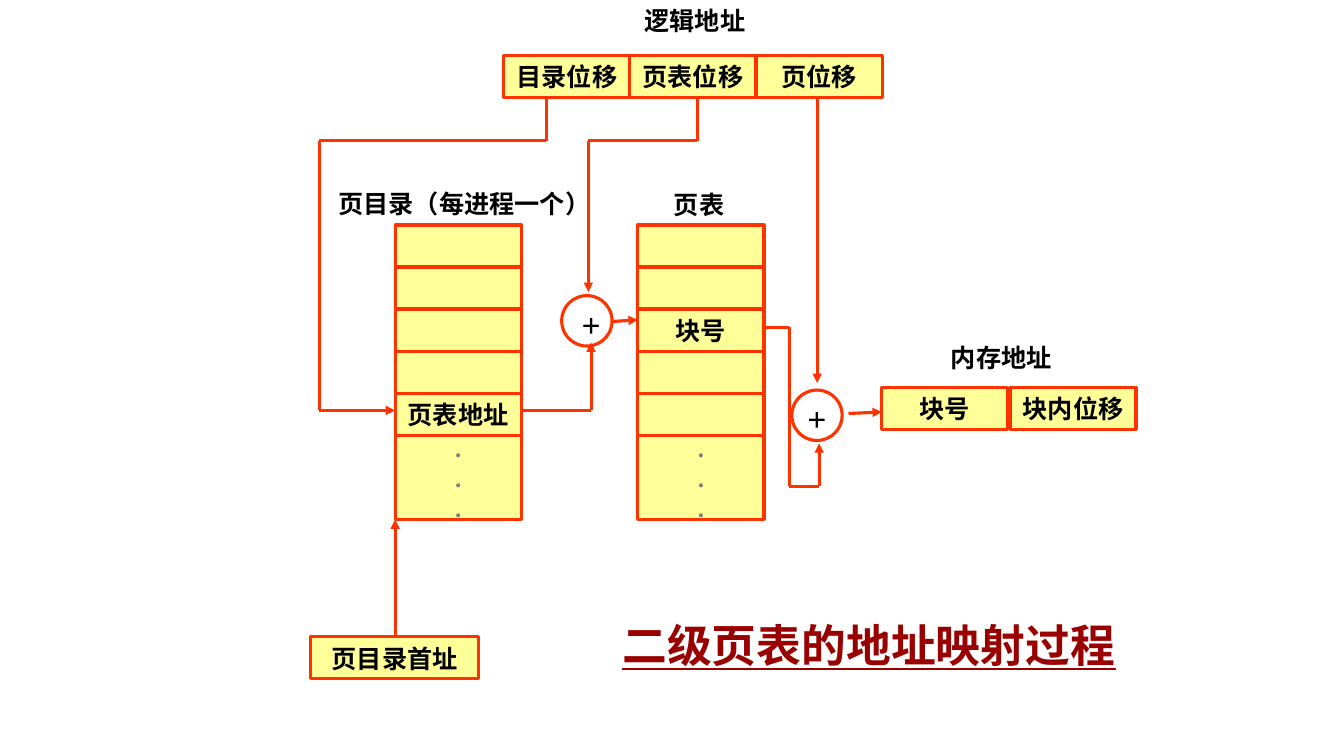
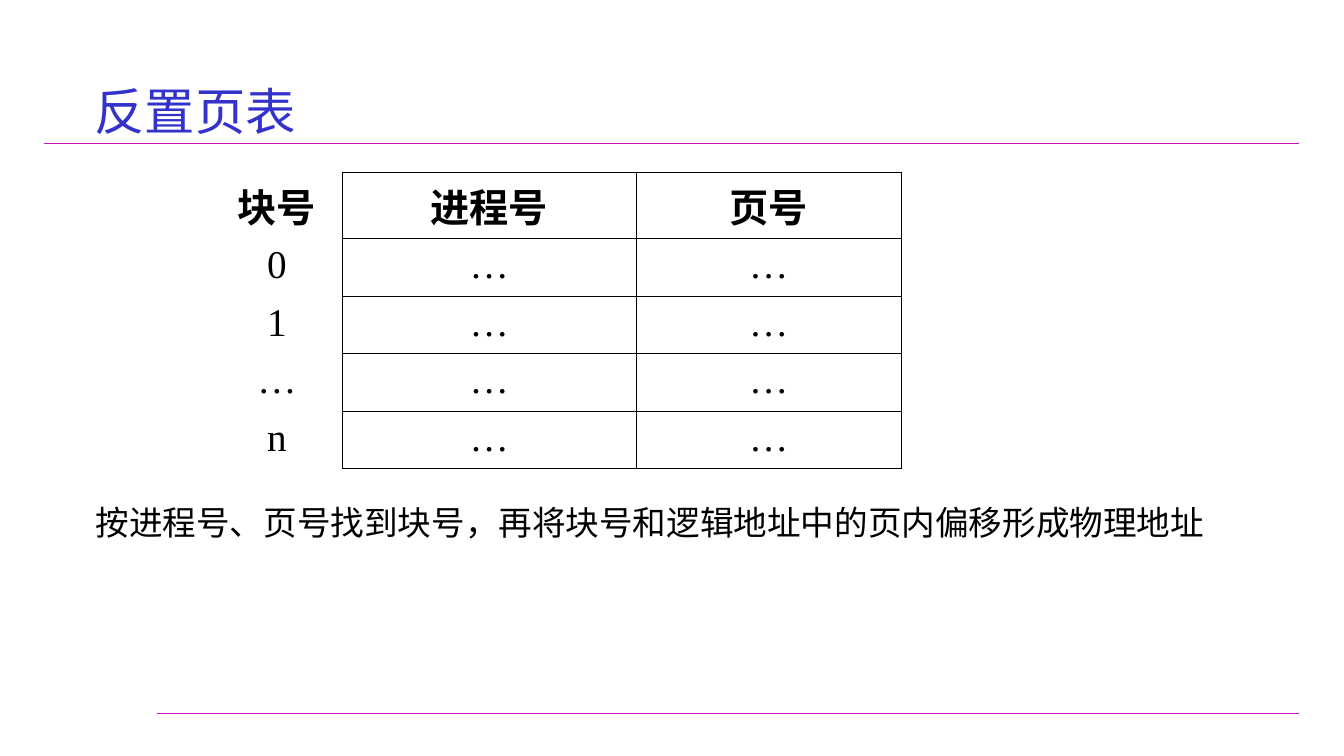
from itertools import pairwise

from pptx import Presentation
from pptx import util as u
from pptx.dml.color import RGBColor
from pptx.enum import shapes, text
from pptx.oxml import ns, xmlchemy

SERIF, SANS = "Times New Roman", "Noto Sans CJK SC"
BLACK, GREY, YELLOW, ORANGE = "000000", "808080", "FFFF99", "FF3300"
DARK_RED, BLUE, MAGENTA = "990000", "3333CC", "CA14C1"
CELL_WIDTH, CELL_HEIGHT = 3.18, 1.06
LABEL = {"size": u.Pt(18), "name": SERIF, "bold": True}
CENTER, LEFT = text.PP_ALIGN.CENTER, text.PP_ALIGN.LEFT
MIDDLE, TOP = text.MSO_ANCHOR.MIDDLE, text.MSO_ANCHOR.TOP


def color(value):
    return RGBColor.from_string(value)


def lengths(box):
    return [u.Cm(value) for value in box]


def apply(target, values):
    for name, value in values.items():
        setattr(target, name, value)


def add_element(parent, tag, **attributes):
    element = xmlchemy.OxmlElement(tag)
    for name, value in attributes.items():
        element.set(name, value)
    parent.append(element)
    return element


def write(frame, lines, font, font_color=BLACK, **layout):
    """Put one paragraph per line in the frame; layout sets paragraph attributes."""
    for number, line in enumerate(lines):
        paragraph = frame.add_paragraph() if number else frame.paragraphs[0]
        apply(paragraph, layout)
        run = paragraph.add_run()
        run.text = line
        apply(run.font, font)
        run.font.color.rgb = color(font_color)
        add_element(run.font._element, "a:ea", typeface=SANS)


def add_text(slide, box, line, font, font_color=BLACK, wrap=True, anchor=TOP, **layout):
    frame = slide.shapes.add_textbox(*lengths(box)).text_frame
    apply(frame, {"word_wrap": wrap, "vertical_anchor": anchor})
    write(frame, [line], font, font_color, **layout)


def add_outlined(slide, kind, box, fill=None):
    shape = slide.shapes.add_shape(kind, *lengths(box))
    shape.shadow.inherit = False
    if fill:
        shape.fill.solid()
        shape.fill.fore_color.rgb = color(fill)
    else:
        shape.fill.background()
    shape.line.color.rgb = color(ORANGE)
    shape.line.width = u.Pt(2.25)
    apply(shape.text_frame, {"word_wrap": False, "vertical_anchor": MIDDLE})
    return shape


def add_cell(slide, left, top, lines=(), width=CELL_WIDTH, height=CELL_HEIGHT,
             font_color=BLACK):
    shape = add_outlined(slide, shapes.MSO_SHAPE.RECTANGLE,
                         (left, top, width, height), YELLOW)
    write(shape.text_frame, lines, LABEL, font_color, alignment=CENTER)


def add_line(slide, start, end, line_color, width, arrow=False):
    connector = slide.shapes.add_connector(
        shapes.MSO_CONNECTOR.STRAIGHT, *lengths(start + end))
    connector.line.color.rgb = color(line_color)
    connector.line.width = u.Pt(width)
    if arrow:
        add_element(connector.line._get_or_add_ln(), "a:tailEnd", type="triangle")
    add_element(connector._element.spPr, "a:effectLst")


def add_route(slide, points):
    """Draw straight segments through the points, the last one with an arrowhead."""
    for start, end in pairwise(points):
        add_line(slide, start, end, ORANGE, 2.25, arrow=end == points[-1])


def add_caption(slide, left, top, width, line):
    add_text(slide, (left, top, width, 1.02), line, LABEL, wrap=False)


def add_address(slide, left, top, labels, gap=0):
    """Draw an address as a row of fields."""
    for number, label in enumerate(labels):
        add_cell(slide, left + number * (CELL_WIDTH + gap), top, [label])


def add_page_table(slide, left, top, entries):
    """Draw a stack of entries that ends in a tall cell of dots."""
    for number, entry in enumerate(entries):
        add_cell(slide, left, top + number * CELL_HEIGHT, [entry] if entry else [])
    add_cell(slide, left, top + len(entries) * CELL_HEIGHT, [".", ".", "."],
             height=2 * CELL_HEIGHT, font_color=GREY)


def add_adder(slide, left, top, nudge):
    """Draw a circled plus; nudge is the left and top inset of the sign."""
    shape = add_outlined(slide, shapes.MSO_SHAPE.OVAL, (left, top, 1.27, 1.27))
    apply(shape.text_frame, dict(zip(
        ("margin_left", "margin_top", "margin_right", "margin_bottom"),
        lengths((*nudge, 0, 0)))))
    write(shape.text_frame, ["+"], {**LABEL, "size": u.Pt(24)}, alignment=CENTER)


def build_mapping(slide):
    add_text(slide, (15.44, 15.44, 13.03, 1.63), "二级页表的地址映射过程",
             {**LABEL, "size": u.Pt(32), "underline": True}, DARK_RED)

    add_caption(slide, 16, 0, 3.05, "逻辑地址")
    add_address(slide, 12.7, 1.4, ["目录位移", "页表位移", "页位移"])
    add_caption(slide, 8.28, 4.62, 6.86, "页目录（每进程一个）")
    add_page_table(slide, 9.96, 5.67, ["", "", "", "", "页表地址"])
    add_caption(slide, 16.74, 4.65, 1.78, "页表")
    add_page_table(slide, 16.08, 5.67, ["", "", "块号", "", ""])
    add_caption(slide, 23.72, 8.51, 3.05, "内存地址")
    add_address(slide, 22.23, 9.76, ["块号", "块内位移"], gap=0.05)
    add_cell(slide, 7.83, 16.05, ["页目录首址"], width=4.24)

    routes = [
        [(13.77, 2.48), (13.77, 3.55), (8.05, 3.55), (8.05, 10.34), (9.96, 10.34)],
        [(9.96, 16.05), (9.96, 13.09)],
        [(13.14, 10.34), (14.9, 10.34), (14.9, 8.63)],
        [(17.58, 2.48), (17.58, 3.55), (14.83, 3.55), (14.83, 7.36)],
        [(15.45, 8.1), (16.08, 8.06)],
        [(19.26, 8.25), (19.9, 8.25), (19.9, 12.25), (20.65, 12.25), (20.65, 11.17)],
        [(20.6, 2.48), (20.6, 9.65)],
        [(21.39, 10.42), (22.23, 10.38)],
    ]
    for points in routes:
        add_route(slide, points)
    add_adder(slide, 14.16, 7.45, (0.22, 0.15))
    add_adder(slide, 19.96, 9.83, (0, 0.15))


def set_borders(cell, sides):
    """Draw the given sides of the cell (L, R, T, B) and clear the others."""
    properties = cell._tc.get_or_add_tcPr()
    for side in "LRTB":
        line = add_element(properties, f"a:ln{side}", w=str(u.Pt(0.45)))
        if side in sides:
            fill = add_element(line, "a:solidFill")
            add_element(fill, "a:srgbClr", val=BLACK)
        else:
            add_element(line, "a:noFill")


def add_frame_table(slide, left, top, widths, row_height, rows):
    """Add a table whose first column stands outside the ruled grid."""
    box = (left, top, sum(widths), row_height * len(rows))
    table = slide.shapes.add_table(len(rows), len(widths), *lengths(box)).table
    apply(table, {"first_row": False, "horz_banding": False})
    for column, width in zip(table.columns, widths):
        column.width = u.Cm(width)
    for row_number, row in enumerate(rows):
        table.rows[row_number].height = u.Cm(row_height)
        for column_number, value in enumerate(row):
            cell = table.cell(row_number, column_number)
            set_borders(cell, "LRTB" if column_number else "R")
            cell.fill.background()
            font = {"size": u.Pt(28), "name": SERIF, "bold": row_number == 0}
            write(cell.text_frame, [value], font, alignment=CENTER,
                  space_before=u.Pt(7))


def build_inverted(slide):
    for start, end in (((3.96, 17.98), (32.74, 17.98)), ((1.12, 3.61), (32.74, 3.61))):
        add_line(slide, start, end, MAGENTA, 0.75)
    rows = [["块号", "进程号", "页号"]]
    rows += [[number, "…", "…"] for number in ("0", "1", "…", "n")]
    add_frame_table(slide, 5.33, 4.33, (3.3, 7.4, 6.7), 1.45, rows)
    body = {"anchor": MIDDLE, "alignment": LEFT, "line_spacing": 1.5}
    add_text(slide, (2.16, 11.1, 31.01, 3.61),
             "按进程号、页号找到块号，再将块号和逻辑地址中的页内偏移形成物理地址",
             {"size": u.Pt(24), "name": SERIF}, **body)
    add_text(slide, (2.13, 1.27, 26.95, 2.26), "反置页表",
             {"size": u.Pt(36), "name": SANS}, BLUE, **body)


def main():
    presentation = Presentation()
    apply(presentation, {"slide_width": u.Cm(33.88), "slide_height": u.Cm(19.05)})
    for build in (build_mapping, build_inverted):
        build(presentation.slides.add_slide(presentation.slide_layouts[6]))
    presentation.save("out.pptx")


if __name__ == "__main__":
    main()
